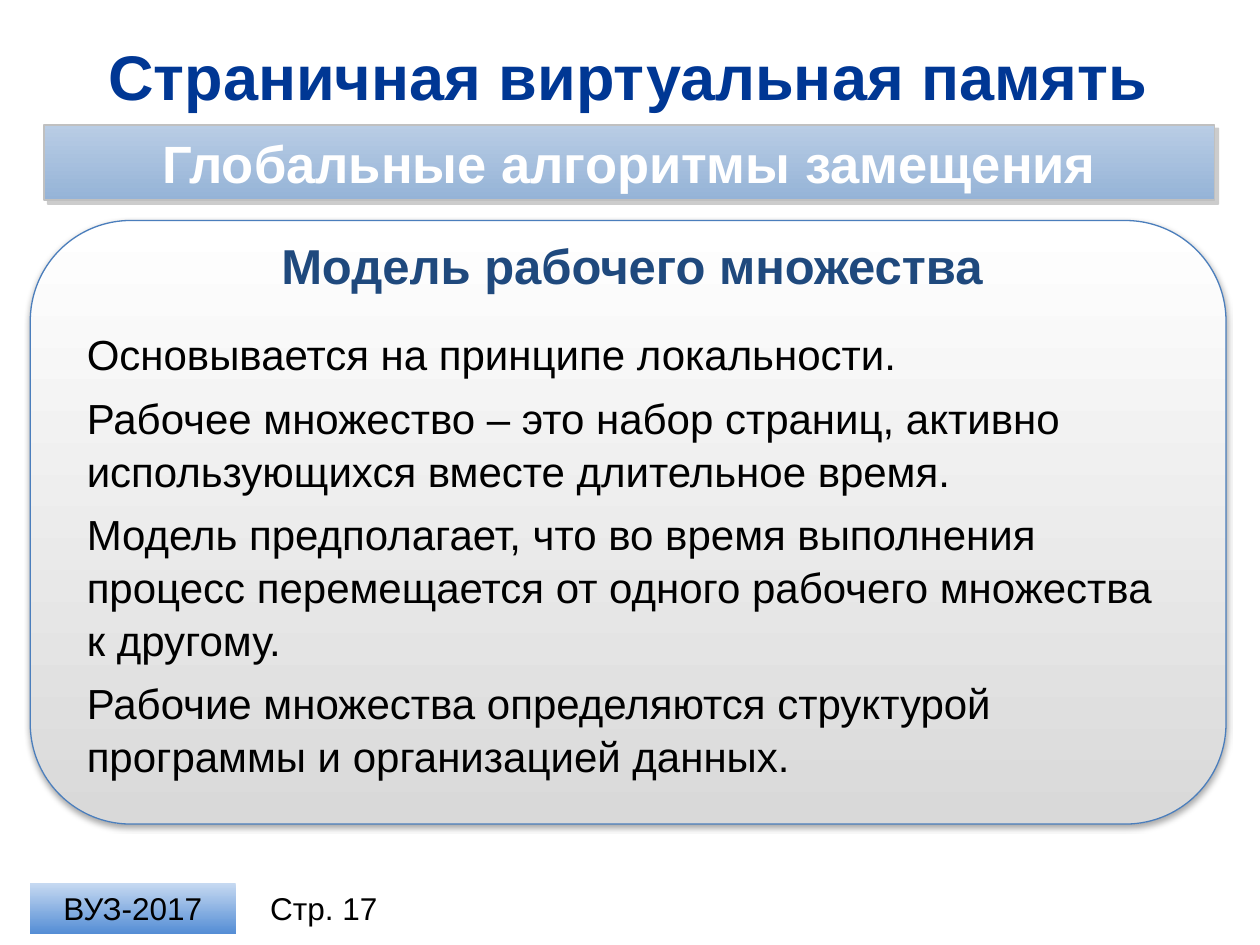
from lxml import etree
from pptx import Presentation
from pptx.dml.color import RGBColor
from pptx.enum.shapes import MSO_SHAPE
from pptx.enum.text import MSO_ANCHOR, PP_ALIGN
from pptx.oxml.ns import qn
from pptx.util import Inches, Pt

RECT, ROUND = MSO_SHAPE.RECTANGLE, MSO_SHAPE.ROUNDED_RECTANGLE
LEFT, CENTER = PP_ALIGN.LEFT, PP_ALIGN.CENTER
TOP, MIDDLE = MSO_ANCHOR.TOP, MSO_ANCHOR.MIDDLE

TITLE = "Страничная виртуальная память"
BANNER = "Глобальные алгоритмы замещения"
HEAD = "Модель рабочего множества"
BODY = [
    "Основывается на принципе локальности.",
    "Рабочее множество – это набор страниц, активно использующихся вместе длительное время.",
    "Модель предполагает, что во время выполнения процесс перемещается от одного рабочего множества к другому.",
    "Рабочие множества определяются структурой программы и организацией данных.",
]
FOOTER = "ВУЗ-2017"
PAGE = "Стр. 17"
EDGE, WIDE = 0.24, 9.49
FOOT, LOW = 7.01, 0.4


def color(code):
    return RGBColor.from_string(code)


def place(box):
    return [Inches(n) for n in box]


def shade(shape, code, alpha, blur, dist, angle):
    effects = shape._element.spPr.find(qn("a:effectLst"))
    outer = etree.SubElement(effects, qn("a:outerShdw"), blurRad=str(Pt(blur)),
                             dist=str(Pt(dist)), dir=str(angle * 60000),
                             algn="ctr", rotWithShape="0")
    tint = etree.SubElement(outer, qn("a:srgbClr"), val=code)
    etree.SubElement(tint, qn("a:alpha"), val=str(alpha * 1000))


def panel(kind, box, fills, line=None, width=1, shadow=None):
    shape = slide.shapes.add_shape(kind, *place(box))
    shape.fill.gradient()
    shape.fill.gradient_angle = 270
    for stop, code in zip(shape.fill.gradient_stops, fills):
        stop.color.rgb = color(code)
    if line:
        shape.line.color.rgb = color(line)
        shape.line.width = Pt(width)
    else:
        shape.line.fill.background()
    shape.shadow.inherit = False
    if shadow:
        shade(shape, *shadow)
    return shape


def label(box):
    return slide.shapes.add_textbox(*place(box))


def write(shape, text, size=18, ink="000000", bold=False, align=CENTER,
          anchor=MIDDLE, before=0, after=0, lead=1.0, more=False):
    frame = shape.text_frame
    frame.word_wrap = True
    frame.vertical_anchor = anchor
    para = frame.add_paragraph() if more else frame.paragraphs[0]
    para.alignment = align
    para.space_before, para.space_after = Pt(before), Pt(after)
    para.line_spacing = lead
    run = para.add_run()
    run.text = text
    font = run.font
    font.name, font.size, font.bold = "Arial", Pt(size), bold
    font.color.rgb = color(ink)


deck = Presentation()
deck.slide_width, deck.slide_height = Inches(10), Inches(7.5)
slide = deck.slides.add_slide(deck.slide_layouts[6])

panel(ROUND, (EDGE, 1.75, WIDE, 4.79), ("FFFFFF", "D9D9D9"),
      "4B7EBC", 0.75, ("000000", 35, 3.1, 1.8, 90))
write(label((EDGE, 0.26, WIDE, 0.68)), TITLE, size=36, ink="003794", bold=True)
write(label((2.03, FOOT, 1.08, LOW)), PAGE)
write(panel(RECT, (EDGE, FOOT, 1.63, LOW), ("C6D9F1", "558ED5")), FOOTER)

banner = panel(RECT, (0.35, 0.99, 9.29, 0.6), ("B9CDE5", "95B3D7"),
               "C0C0C0", 1, ("808080", 40, 0, 3, 45))
write(banner, BANNER, size=30, ink="FFFFFF", bold=True)

body = label((0.59, 1.8, 8.85, 4.31))
write(body, HEAD, size=28, ink="1F497D", bold=True, anchor=TOP, after=6, lead=1.05)
for num, text in enumerate(BODY):
    write(body, text, size=24, align=LEFT, anchor=TOP, lead=1.05,
          before=0 if num else 12, after=6, more=True)

deck.save("out.pptx")
